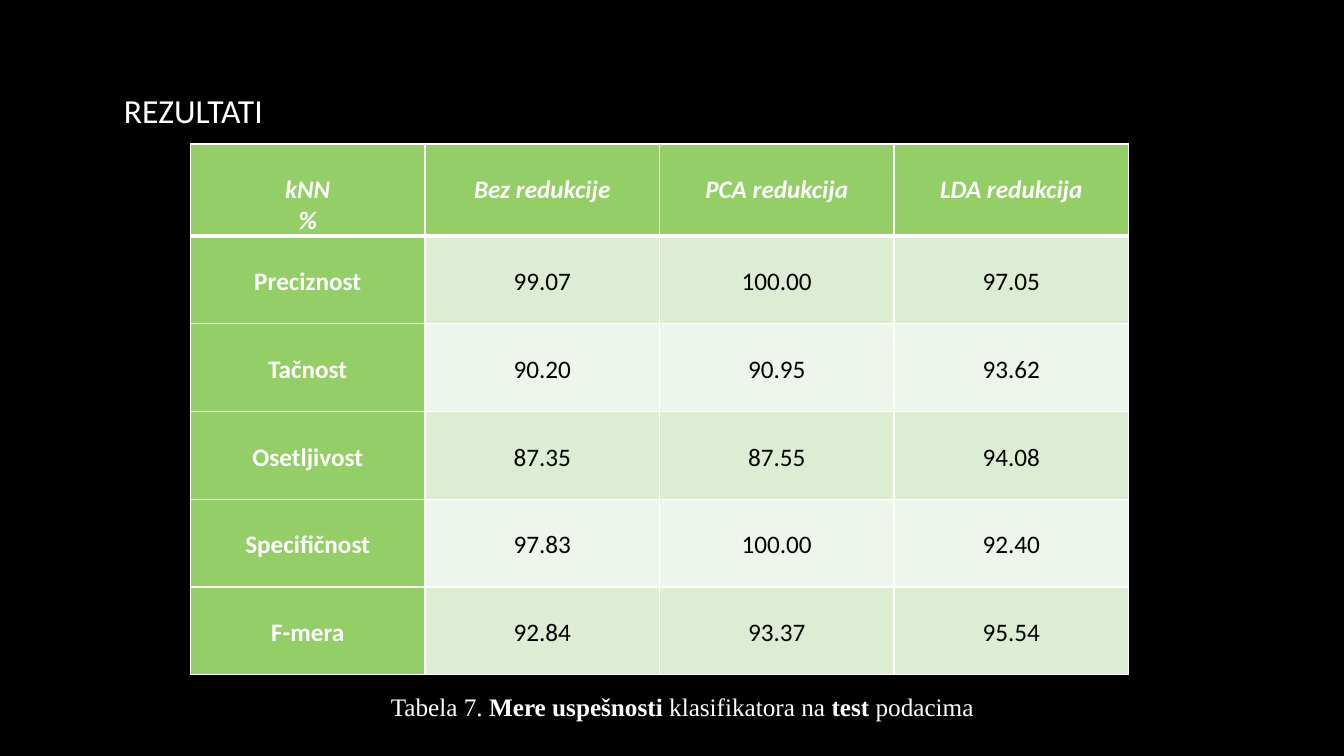
from dataclasses import dataclass

from lxml import etree
from pptx import Presentation
from pptx.dml.color import RGBColor
from pptx.enum.text import MSO_ANCHOR, MSO_AUTO_SIZE, PP_ALIGN
from pptx.oxml.ns import qn
from pptx.util import Cm, Pt

LEFT, CENTER, JUST = PP_ALIGN.LEFT, PP_ALIGN.CENTER, PP_ALIGN.JUSTIFY
TOP, MIDDLE = MSO_ANCHOR.TOP, MSO_ANCHOR.MIDDLE
NO_FIT = MSO_AUTO_SIZE.NONE
SANS, SERIF = "Calibri", "Times New Roman"
COLORS = {
    "black": "000000",
    "white": "FFFFFF",
    "green": "94CE67",
    "odd": "DCEDD3",
    "even": "EEF6EB",
}
ROWS = [
    ("kNN\n%", "Bez redukcije", "PCA redukcija", "LDA redukcija"),
    ("Preciznost", "99.07", "100.00", "97.05"),
    ("Tačnost", "90.20", "90.95", "93.62"),
    ("Osetljivost", "87.35", "87.55", "94.08"),
    ("Specifičnost", "97.83", "100.00", "92.40"),
    ("F-mera", "92.84", "93.37", "95.54"),
]
COL_W, ROW_H = Cm(5.91), Cm(2.21)


@dataclass
class Run:
    text: str
    size: int = 18
    font: str = SANS
    color: str = "white"
    bold: bool = False
    slant: bool = False


def rgb(name: str) -> RGBColor:
    return RGBColor.from_string(COLORS[name])


def add_runs(para, runs: list[Run], align) -> None:
    para.alignment = align
    para.space_before = Pt(0)
    for item in runs:
        run = para.add_run()
        run.text = item.text
        font = run.font
        font.name, font.size = item.font, Pt(item.size)
        font.bold, font.italic = item.bold, item.slant
        font.color.rgb = rgb(item.color)


def set_frame(frame, anchor) -> None:
    frame.word_wrap = True
    frame.auto_size = NO_FIT
    frame.vertical_anchor = anchor


def add_edge(cell, side: str, width: int) -> None:
    props = cell._tc.get_or_add_tcPr()
    line = etree.SubElement(props, qn(f"a:{side}"), w=str(Pt(width)))
    fill = etree.SubElement(line, qn("a:solidFill"))
    etree.SubElement(fill, qn("a:srgbClr"), val=COLORS["white"])


def fill_cell(cell, text: str, row: int, col: int) -> None:
    head = row == 0
    label = head or col == 0
    cell.margin_left = cell.margin_right = Cm(0.19)
    cell.margin_top, cell.margin_bottom = Cm(0.77), Cm(0)
    cell.vertical_anchor = TOP
    add_edge(cell, "lnL", 1)
    add_edge(cell, "lnR", 1)
    add_edge(cell, "lnT", 3 if row == 1 else 1)
    add_edge(cell, "lnB", 3 if head else 1)
    band = "odd" if row % 2 else "even"
    cell.fill.solid()
    cell.fill.fore_color.rgb = rgb("green" if label else band)
    frame = cell.text_frame
    for i, line in enumerate(text.split("\n")):
        para = frame.add_paragraph() if i else frame.paragraphs[0]
        color = "white" if label else "black"
        add_runs(para, [Run(line, color=color, bold=label, slant=head)], CENTER)


deck = Presentation()
deck.slide_width, deck.slide_height = Cm(33.87), Cm(19.05)
slide = deck.slides.add_slide(deck.slide_layouts[5])
slide.background.fill.solid()
slide.background.fill.fore_color.rgb = rgb("black")

title = slide.shapes.title
title.left, title.top = Cm(2.87), Cm(2.13)
title.width, title.height = Cm(23.9), Cm(1.27)
set_frame(title.text_frame, TOP)
add_runs(title.text_frame.paragraphs[0], [Run("REZULTATI", 24)], LEFT)

count, span = len(ROWS), len(ROWS[0])
table = slide.shapes.add_table(
    count, span, Cm(4.8), Cm(3.63), COL_W * span, ROW_H * count
).table
for column in table.columns:
    column.width = COL_W
for r, texts in enumerate(ROWS):
    table.rows[r].height = ROW_H
    for c, text in enumerate(texts):
        fill_cell(table.cell(r, c), text, r, c)

note = slide.shapes.add_textbox(Cm(9.6), Cm(17.3), Cm(15.88), Cm(1.02))
set_frame(note.text_frame, MIDDLE)
parts = [
    ("Tabela 7. ", False),
    ("Mere uspešnosti ", True),
    ("klasifikatora na ", False),
    ("test", True),
    (" podacima", False),
]
add_runs(
    note.text_frame.paragraphs[0],
    [Run(text, font=SERIF, bold=bold) for text, bold in parts],
    JUST,
)

deck.save("out.pptx")
